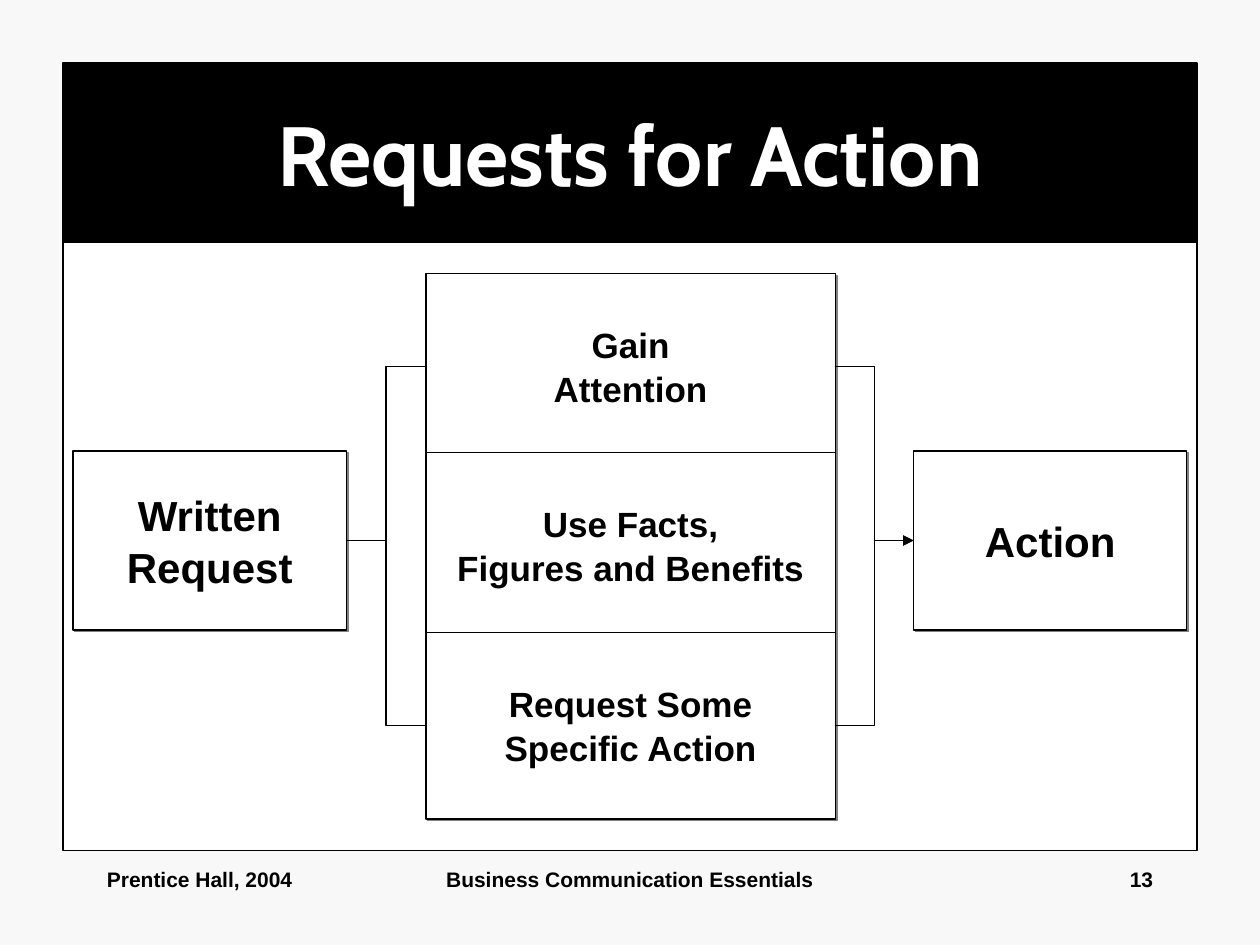
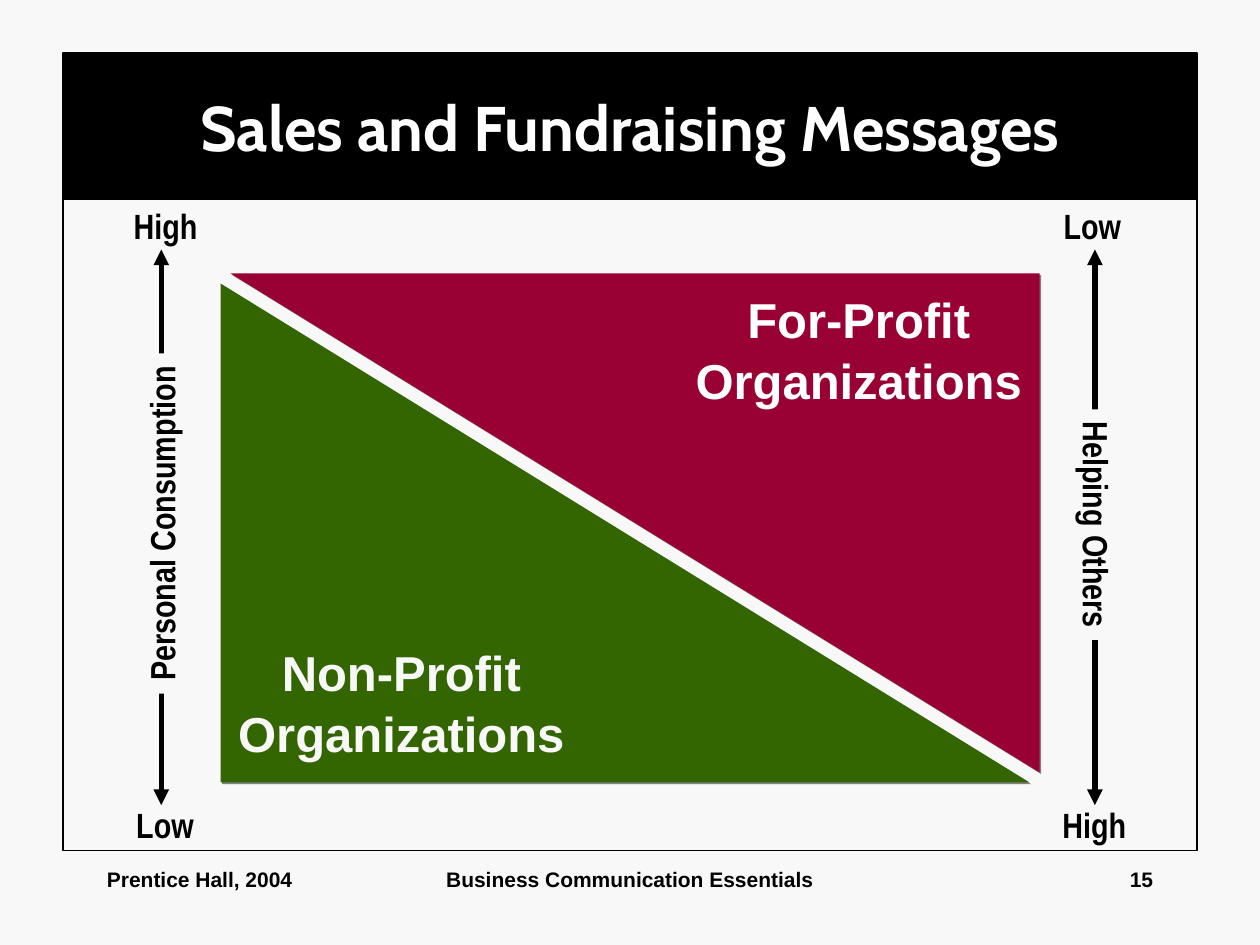
from dataclasses import dataclass
from typing import Optional

from lxml.etree import SubElement
from pptx import Presentation
from pptx.dml.color import RGBColor as Rgb
from pptx.enum.shapes import MSO_CONNECTOR as Conn, MSO_SHAPE as Kind
from pptx.enum.text import MSO_ANCHOR as Anchor, PP_ALIGN as Align
from pptx.oxml.ns import qn
from pptx.util import Pt

PX = 9144
HUES = {
    "back": "F8F8F8",
    "white": "FFFFFF",
    "black": "000000",
    "shade": "808080",
    "red": "990033",
    "green": "336600",
}
ROWS = (
    "Gain\nAttention",
    "Use Facts,\nFigures and Benefits",
    "Request Some\nSpecific Action",
)


@dataclass(frozen=True)
class Box:
    """Block of text, with or without an outline, placed in px."""

    at: tuple[int, int, int, int]
    text: str = ""
    size: int = 20
    font: str = "Arial"
    ink: str = "black"
    kind: Optional[Kind] = None
    fill: Optional[str] = None
    line: bool = False
    shade: bool = False
    turn: int = 0
    mid: bool = False
    wrap: bool = False
    align: Align = Align.CENTER


@dataclass(frozen=True)
class Axis:
    """Upright scale with a label at each end and a turned name."""

    x: int
    top: tuple[str, int, int]
    low: tuple[str, int, int]
    name: str
    at: tuple[int, int, int, int]
    turn: int


def tint(name: str) -> Rgb:
    """Return a named colour."""
    return Rgb.from_string(HUES[name])


def apply(item, vals: dict) -> None:
    """Set each value on the item."""
    for key, val in vals.items():
        setattr(item, key, val)


def cast(shape) -> None:
    """Give a shape a small hard shadow to the lower right."""
    effects = shape._element.spPr.find(qn("a:effectLst"))
    outer = SubElement(effects, qn("a:outerShdw"), dist="17961", dir="2700000", rotWithShape="0")
    SubElement(outer, qn("a:srgbClr"), val=HUES["shade"])


def paint(shape, box: Box) -> None:
    """Set fill, outline, shadow and turn of a preset shape."""
    shape.shadow.inherit = False
    if box.fill:
        shape.fill.solid()
        shape.fill.fore_color.rgb = tint(box.fill)
    else:
        shape.fill.background()
    if box.line:
        shape.line.width = Pt(0.75)
        shape.line.color.rgb = tint("black")
    else:
        shape.line.fill.background()
    if box.shade:
        cast(shape)
    shape.rotation = box.turn


def write(shape, box: Box) -> None:
    """Fill a shape with paragraphs, one for each line."""
    frame = shape.text_frame
    apply(frame, {
        "text": box.text,
        "word_wrap": box.wrap,
        "vertical_anchor": Anchor.MIDDLE if box.mid else Anchor.TOP,
    })
    for num, para in enumerate(frame.paragraphs):
        para.alignment = box.align
        if num:
            para.space_before = Pt(1.2)
        apply(para.font, {"name": box.font, "size": Pt(box.size), "bold": True})
        para.font.color.rgb = tint(box.ink)


def draw(slide, box: Box):
    """Draw a block and return its shape."""
    at = [n * PX for n in box.at]
    if box.kind is None:
        shape = slide.shapes.add_textbox(*at)
    else:
        shape = slide.shapes.add_shape(box.kind, *at)
        paint(shape, box)
    if box.text:
        write(shape, box)
    return shape


def link(slide, kind: Conn, ends: tuple[int, int, int, int], width: float, *tips: str):
    """Draw a black connector with a triangle on each named end."""
    wire = slide.shapes.add_connector(kind, *(n * PX for n in ends))
    wire.line.width = Pt(width)
    wire.line.color.rgb = tint("black")
    for tip in tips:
        SubElement(wire.line._get_or_add_ln(), qn(f"a:{tip}"), type="triangle")
    SubElement(wire._element.spPr, qn("a:effectLst"))
    return wire


def join(slide, start, end, *tips: str) -> None:
    """Run an elbow from the right of one shape to the left of the next."""
    wire = link(slide, Conn.ELBOW, (0, 0, 1, 1), 0.75, *tips)
    wire.begin_connect(start, 3)
    wire.end_connect(end, 1)


def base(deck, title: str, size: int, top: int, tall: int, fill: Optional[str], page: str):
    """Add a slide with its frame, title band and footer."""
    slide = deck.slides.add_slide(deck.slide_layouts[6])
    back = slide.background.fill
    back.solid()
    back.fore_color.rgb = tint("back")
    edge = top + tall
    draw(slide, Box((50, edge, 900, 675 - edge), kind=Kind.RECTANGLE, fill=fill, line=True))
    draw(slide, Box((50, top, 900, tall), title, size, "Cabin", "white",
                    Kind.RECTANGLE, "black", True, mid=True, wrap=True))
    for left, wide, text, align in (
        (75, 208, "Prentice Hall, 2004", Align.LEFT),
        (342, 316, "Business Communication Essentials", Align.CENTER),
        (717, 208, page, Align.RIGHT),
    ):
        draw(slide, Box((left, 683, wide, 50), text, 12, wrap=True, align=align))
    return slide


def card(slide, at: tuple[int, int, int, int], text: str, size: int):
    """Draw a white step of the flow."""
    return draw(slide, Box(at, text, size, kind=Kind.RECTANGLE, fill="white",
                           line=True, shade=True, mid=True))


def flow(deck) -> None:
    """Build the slide on requests for action."""
    slide = base(deck, "Requests for Action", 48, 50, 142, "white", "13")
    goal = card(slide, (725, 358, 217, 142), "Action", 24)
    start = card(slide, (58, 358, 217, 142), "Written\nRequest", 24)
    steps = [card(slide, (338, 217 + 285 * num // 2, 325, 148), text, 20)
             for num, text in enumerate(ROWS)]
    for step in (steps[0], steps[-1]):
        join(slide, start, step)
        join(slide, step, goal, "tailEnd")


def scale(slide, axis: Axis) -> None:
    """Draw an axis with its labels."""
    link(slide, Conn.STRAIGHT, (axis.x, 198, axis.x, 639), 3, "headEnd", "tailEnd")
    for (text, left, wide), top in ((axis.top, 157), (axis.low, 633)):
        draw(slide, Box((left, top, wide, 43), text, font="Arial Narrow"))
    draw(slide, Box(axis.at, axis.name, font="Arial Narrow", kind=Kind.RECTANGLE,
                    fill="back", turn=axis.turn))


def sales(deck) -> None:
    """Build the slide on sales and fundraising."""
    slide = base(deck, "Sales and Fundraising Messages", 36, 42, 116, None, "15")
    for axis in (
        Axis(128, ("High", 96, 71), ("Low", 98, 66),
             "Personal Consumption", (-7, 394, 270, 43), 270),
        Axis(869, ("Low", 834, 66), ("High", 833, 71),
             "Helping Others", (779, 395, 183, 43), 90),
    ):
        scale(slide, axis)
    for left, top, fill, turn in ((183, 217, "red", 180), (175, 225, "green", 0)):
        draw(slide, Box((left, top, 642, 396), kind=Kind.RIGHT_TRIANGLE,
                        fill=fill, shade=True, turn=turn))
    for left, top, text, ink in (
        (179, 505, "Non-Profit\nOrganizations", "back"),
        (542, 225, "For-Profit\nOrganizations", "white"),
    ):
        draw(slide, Box((left, top, 279, 103), text, 28, ink=ink))


def main() -> None:
    """Build and save the deck."""
    deck = Presentation()
    apply(deck, {"slide_width": 1000 * PX, "slide_height": 750 * PX})
    flow(deck)
    sales(deck)
    deck.save("out.pptx")


if __name__ == "__main__":
    main()
